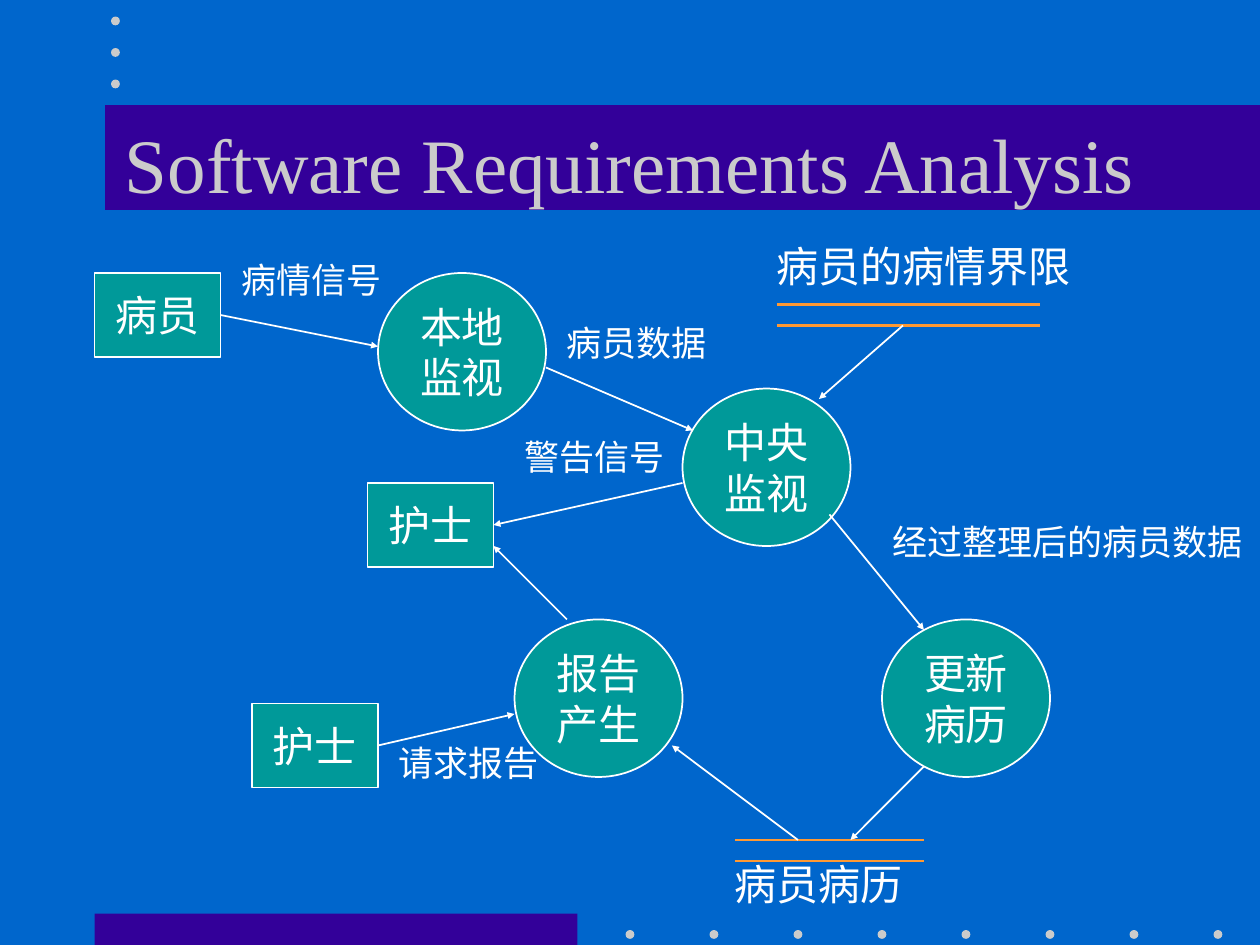
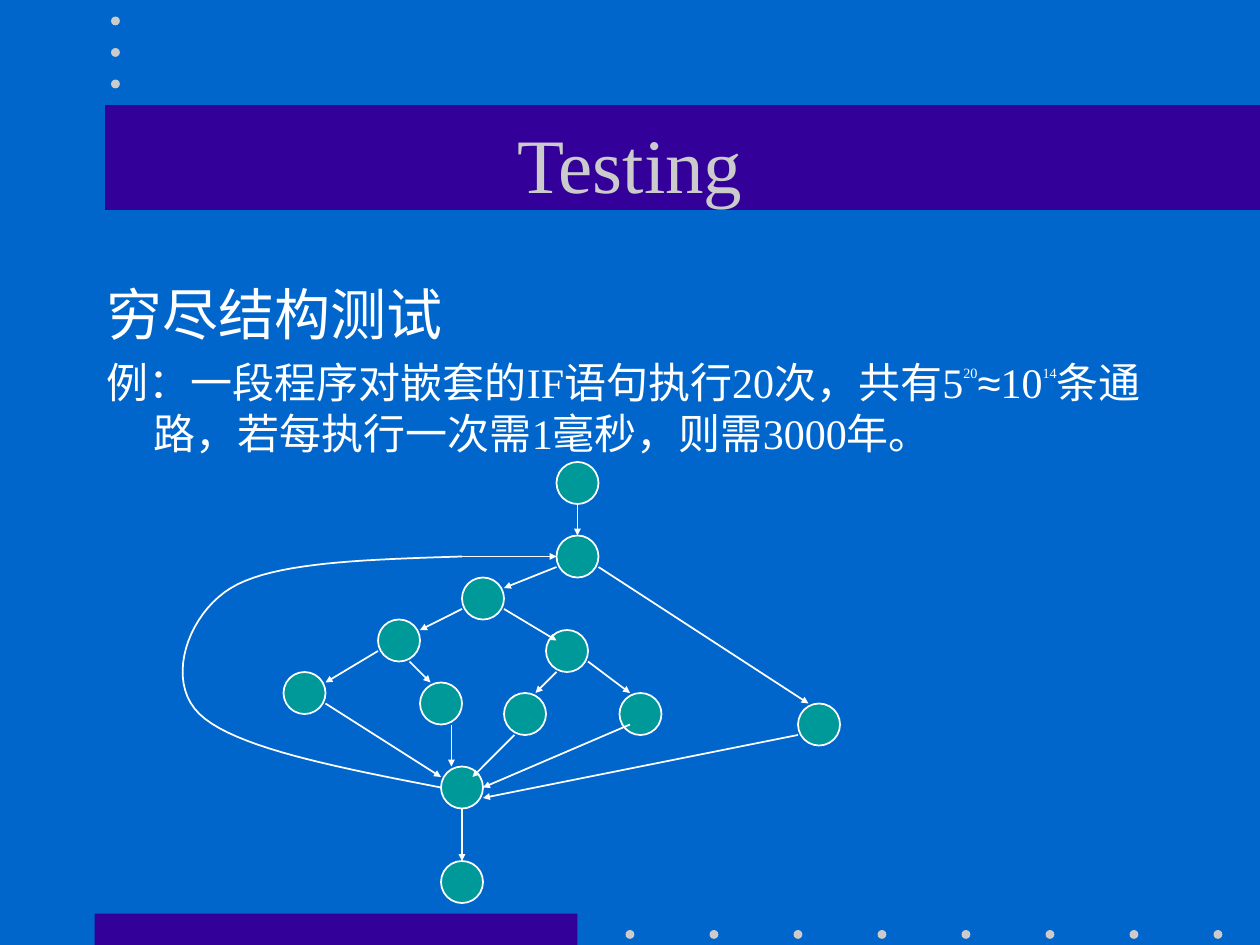
from dataclasses import dataclass
from typing import Any, NamedTuple

from lxml.etree import SubElement
from pptx import Presentation
from pptx.dml.color import RGBColor
from pptx.enum.shapes import MSO_CONNECTOR, MSO_SHAPE
from pptx.enum.text import MSO_ANCHOR, MSO_AUTO_SIZE, PP_ALIGN
from pptx.oxml.ns import qn
from pptx.util import Cm, Pt

GRID_CM = 2.54 / 12  # every position below counts these grid steps
SERIF, SANS = "Times New Roman", "Arial"
BLUE, PURPLE, GREY = "0066CC", "330099", "CBCBCB"
TEAL, WHITE, ORANGE = "009999", "FFFFFF", "FF9933"
DOT_SIZE = 0.84
CIRCLE_SIZE = 4


class Box(NamedTuple):
    left: float
    top: float
    width: float
    height: float


class Arrow(NamedTuple):
    x1: float
    y1: float
    x2: float
    y2: float


@dataclass
class Node:
    lines: list[str]
    box: Box
    kind: MSO_SHAPE = MSO_SHAPE.OVAL


@dataclass
class Label:
    text: str
    box: Box
    size: int = 20


@dataclass
class Piece:
    text: str
    size: int = 24
    font: str = SERIF
    raised: int = 0


def process(first: str, second: str, left: float, top: float) -> Node:
    return Node([first, second], Box(left, top, 16, 15))


def entity(name: str, left: float, top: float) -> Node:
    return Node([name], Box(left, top, 12, 8), MSO_SHAPE.RECTANGLE)


def flow_label(text: str, left: float, top: float, width: float = 15.9) -> Label:
    return Label(text, Box(left, top, width, 5.3))


DATA_FLOW_NODES = [
    process("本地", "监视", 36, 26),
    process("中央", "监视", 65, 37),
    process("报告", "产生", 49, 59),
    process("更新", "病历", 84, 59),
    entity("护士", 35, 46),
    entity("护士", 24, 67),
    entity("病员", 9, 26),
]
DATA_FLOWS = [
    Arrow(21, 30, 36, 33), Arrow(52, 35, 66, 41), Arrow(65, 46, 47, 50),
    Arrow(54, 59, 47, 52), Arrow(36, 71, 49, 68), Arrow(79, 49, 88, 60),
    Arrow(86, 31, 78, 38), Arrow(76, 80, 64, 71), Arrow(88, 73, 81, 80),
]
DATA_STORES = [Box(70, 80, 18, 2), Box(74, 29, 25, 2)]
DATA_FLOW_LABELS = [
    Label("病员病历", Box(68.8, 81.2, 18.5, 6), 24),
    Label("病员的病情界限", Box(72.8, 22.3, 30.5, 6), 24),
    flow_label("警告信号", 48.8, 40.9),
    flow_label("病员数据", 52.8, 30),
    flow_label("请求报告", 36.8, 70),
    flow_label("经过整理后的病员数据", 83.8, 49, 35.9),
    flow_label("病情信号", 21.8, 24),
]

TEST_PARAGRAPHS = [
    [Piece("穷尽结构测试", 32)],
    [
        Piece("例：一段程序对嵌套的IF语句执行20次，共有5"),
        Piece("20", 14, raised=82),
        Piece("≈", font=SANS),
        Piece("10"),
        Piece("14", 14, raised=84),
        Piece("条通路，若每执行一次需1毫秒，则需3000年。"),
    ],
]
FLOW_CIRCLES = [
    (36, 59), (27, 64), (52, 60), (44, 55), (53, 51), (53, 44),
    (40, 65), (48, 66), (59, 66), (42, 73), (42, 82), (76, 67),
]
FLOW_ARROWS = [
    Arrow(55, 48, 55, 51), Arrow(53, 54, 48, 56), Arrow(44, 58, 40, 60),
    Arrow(36, 62, 31, 65), Arrow(48, 58, 53, 61), Arrow(56, 63, 60, 66),
    Arrow(39, 63, 41, 65), Arrow(43, 69, 43, 73), Arrow(49, 70, 45, 74),
    Arrow(53, 64, 51, 66), Arrow(60, 69, 46, 75), Arrow(31, 67, 42, 74),
    Arrow(76, 70, 46, 76), Arrow(57, 54, 77, 67), Arrow(44, 77, 44, 82),
    Arrow(44, 53, 53, 53),
]
LOOP_START = (42, 75)
LOOP_CURVES = [
    ((32.2, 73.1), (22.3, 71.2), (19, 68)),
    ((15.7, 64.8), (17.9, 58.5), (22, 56)),
    ((26.1, 53.5), (35, 53.3), (44, 53)),
]


def grid(*steps: float) -> list[Cm]:
    return [Cm(step * GRID_CM) for step in steps]


def color(value: str) -> RGBColor:
    return RGBColor.from_string(value)


def set_values(target: Any, values: dict[str, Any]) -> None:
    for name, value in values.items():
        setattr(target, name, value)


def set_line(line: Any, line_color: str, width: float = 1) -> None:
    line.color.rgb = color(line_color)
    line.width = Pt(width)


def add_run(paragraph: Any, piece: Piece, text_color: str = WHITE) -> None:
    run = paragraph.add_run()
    run.text = piece.text
    set_values(run.font, {"name": piece.font, "size": Pt(piece.size)})
    run.font.color.rgb = color(text_color)
    if piece.raised:
        run.font._element.set("baseline", str(piece.raised * 1000))


def fill_text(frame: Any, paragraphs: list[list[Piece]], align: PP_ALIGN,
              text_color: str = WHITE) -> None:
    for index, pieces in enumerate(paragraphs):
        paragraph = frame.add_paragraph() if index else frame.paragraphs[0]
        paragraph.alignment = align
        for piece in pieces:
            add_run(paragraph, piece, text_color)


def add_shape(slide: Any, kind: MSO_SHAPE, box: Box, fill: str,
              outline: str | None = None) -> Any:
    shape = slide.shapes.add_shape(kind, *grid(*box))
    shape.shadow.inherit = False
    shape.fill.solid()
    shape.fill.fore_color.rgb = color(fill)
    if outline:
        set_line(shape.line, outline)
    else:
        shape.line.fill.background()
    return shape


def add_dot(slide: Any, center_x: float, center_y: float) -> None:
    half = DOT_SIZE / 2
    box = Box(center_x - half, center_y - half, DOT_SIZE, DOT_SIZE)
    add_shape(slide, MSO_SHAPE.OVAL, box, GREY)


def add_line(slide: Any, ends: Arrow, line_color: str = WHITE,
             width: float = 1, arrowhead: bool = True) -> None:
    connector = slide.shapes.add_connector(MSO_CONNECTOR.STRAIGHT, *grid(*ends))
    set_line(connector.line, line_color, width)
    if arrowhead:
        SubElement(connector.line._get_or_add_ln(), qn("a:tailEnd"),
                   type="triangle", w="sm", len="sm")
    SubElement(connector._element.spPr, qn("a:effectLst"))


def add_node(slide: Any, node: Node) -> None:
    shape = add_shape(slide, node.kind, node.box, TEAL, WHITE)
    set_values(shape.text_frame, {"word_wrap": False, "vertical_anchor": MSO_ANCHOR.MIDDLE})
    fill_text(shape.text_frame, [[Piece(line)] for line in node.lines], PP_ALIGN.CENTER)


def add_label(slide: Any, label: Label) -> None:
    frame = slide.shapes.add_textbox(*grid(*label.box)).text_frame
    set_values(frame, {"word_wrap": False, "auto_size": MSO_AUTO_SIZE.SHAPE_TO_FIT_TEXT})
    fill_text(frame, [[Piece(label.text, label.size)]], PP_ALIGN.LEFT)


def add_store(slide: Any, box: Box) -> None:
    """Draw a data store as two parallel rules."""
    for y in (box.top, box.top + box.height):
        ends = Arrow(box.left, y, box.left + box.width, y)
        add_line(slide, ends, ORANGE, 1.5, arrowhead=False)


def bezier_point(points: list[tuple[float, float]], t: float) -> tuple[float, float]:
    weights = ((1 - t) ** 3, 3 * t * (1 - t) ** 2, 3 * t * t * (1 - t), t ** 3)
    x, y = (sum(w * p[axis] for w, p in zip(weights, points)) for axis in (0, 1))
    return x, y


def add_loop(slide: Any, steps: int = 20) -> None:
    """Draw the open curve that leads back to the loop's start."""
    start = LOOP_START
    vertices = []
    for curve in LOOP_CURVES:
        points = [start, *curve]
        vertices += [grid(*bezier_point(points, i / steps)) for i in range(1, steps + 1)]
        start = curve[-1]
    builder = slide.shapes.build_freeform(*grid(*LOOP_START))
    builder.add_line_segments(vertices, close=False)
    shape = builder.convert_to_shape()
    shape.shadow.inherit = False
    shape.fill.background()
    set_line(shape.line, WHITE)


def add_titled_slide(presentation: Any, title: str) -> Any:
    slide = presentation.slides.add_slide(presentation.slide_layouts[6])
    add_shape(slide, MSO_SHAPE.RECTANGLE, Box(9, 87, 46, 3), PURPLE)
    for column in range(8):
        add_dot(slide, 60 + 8 * column, 89)
    add_shape(slide, MSO_SHAPE.RECTANGLE, Box(10, 10, 110, 10), PURPLE)
    for row in range(3):
        add_dot(slide, 11, 2 + 3 * row)
    frame = slide.shapes.add_textbox(*grid(9, 8, 102, 15)).text_frame
    set_values(frame, {"word_wrap": True, "vertical_anchor": MSO_ANCHOR.MIDDLE})
    fill_text(frame, [[Piece(title, 44)]], PP_ALIGN.CENTER, GREY)
    return slide


def build_analysis_slide(presentation: Any) -> None:
    slide = add_titled_slide(presentation, "Software Requirements Analysis")
    for node in DATA_FLOW_NODES:
        add_node(slide, node)
    for store in DATA_STORES:
        add_store(slide, store)
    for flow in DATA_FLOWS:
        add_line(slide, flow)
    for label in DATA_FLOW_LABELS:
        add_label(slide, label)


def build_testing_slide(presentation: Any) -> None:
    slide = add_titled_slide(presentation, "Testing")
    frame = slide.shapes.add_textbox(*grid(9, 26, 102, 54)).text_frame
    frame.word_wrap = True
    fill_text(frame, TEST_PARAGRAPHS, PP_ALIGN.LEFT)
    for paragraph in frame.paragraphs:
        hanging = {"marL": Cm(0.95), "indent": -Cm(0.95)}
        for name, value in hanging.items():
            paragraph._p.get_or_add_pPr().set(name, str(value))
    frame.paragraphs[1].space_before = Pt(6)
    for left, top in FLOW_CIRCLES:
        box = Box(left, top, CIRCLE_SIZE, CIRCLE_SIZE)
        add_shape(slide, MSO_SHAPE.OVAL, box, TEAL, WHITE)
    add_loop(slide)
    for arrow in FLOW_ARROWS:
        add_line(slide, arrow)


def main() -> None:
    presentation = Presentation()
    set_values(presentation, {"slide_width": Cm(25.4), "slide_height": Cm(19.05)})
    background = presentation.slide_master.background.fill
    background.solid()
    background.fore_color.rgb = color(BLUE)
    build_analysis_slide(presentation)
    build_testing_slide(presentation)
    presentation.save("out.pptx")


if __name__ == "__main__":
    main()
